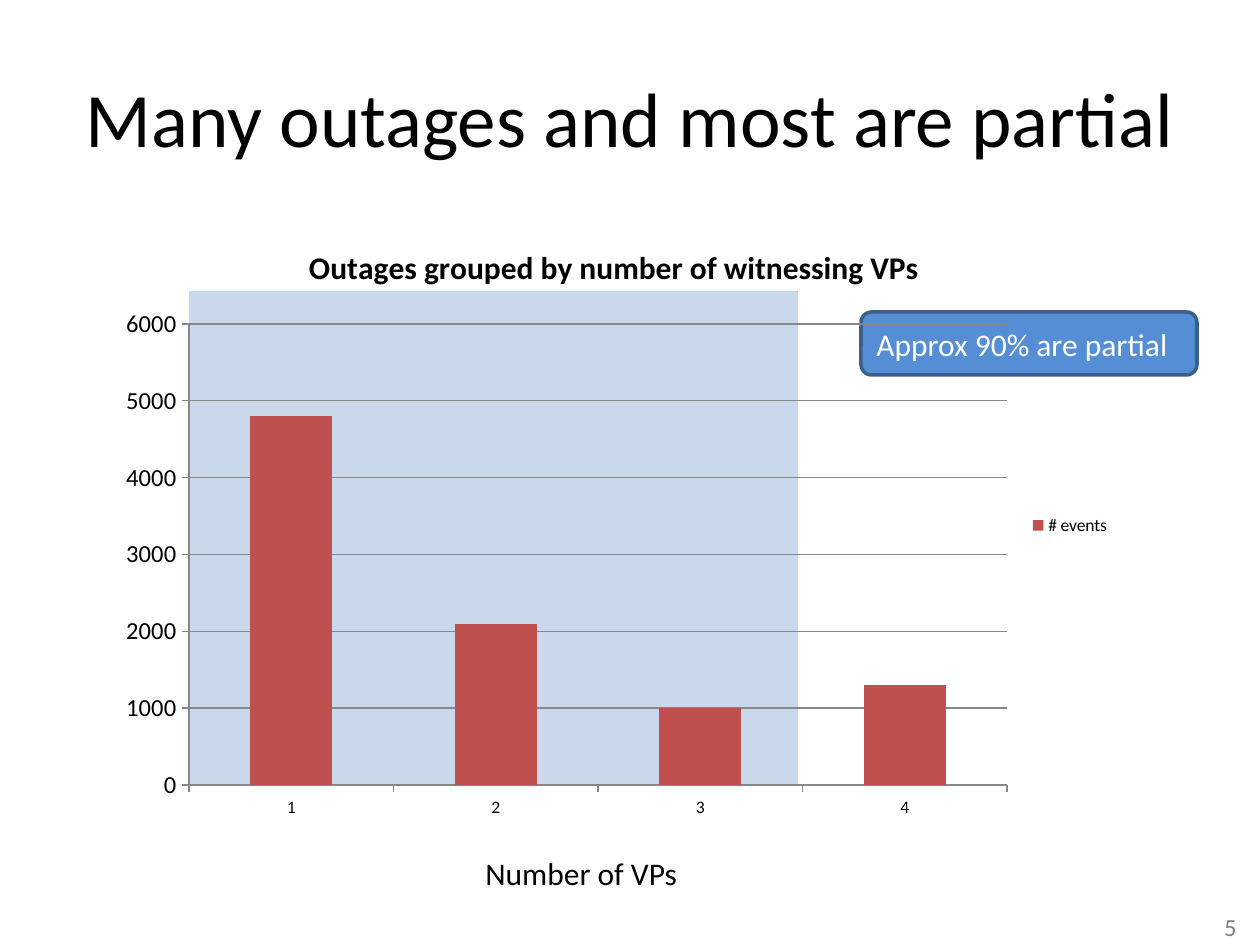
import lxml.etree
import pptx
import pptx.chart.data
import pptx.dml.color
import pptx.enum.chart
import pptx.enum.shapes
import pptx.enum.text
import pptx.oxml
import pptx.oxml.ns
import pptx.util

SCALE = 914400 / 126
FONT = "Calibri"
COLORS = {
    "text": "000000",
    "muted": "808080",
    "white": "FFFFFF",
    "band": "4F81BD",
    "callout": "558ED5",
    "callout_line": "3A5F8C",
    "bar": "C0504D",
    "axis": "878787",
}
ALIGN = pptx.enum.text.PP_ALIGN
ANCHOR = pptx.enum.text.MSO_ANCHOR
SHAPE = pptx.enum.shapes.MSO_SHAPE
CHART = pptx.enum.chart


def px(*lengths):
    """Turn pixel lengths into a list of EMU lengths."""
    return [pptx.util.Emu(round(length * SCALE)) for length in lengths]


def color(name):
    """Return the named colour."""
    return pptx.dml.color.RGBColor.from_string(COLORS[name])


def style_font(font, size, name="text", bold=False):
    """Set typeface, size, colour and weight of a font."""
    font.name = FONT
    font.size = pptx.util.Pt(size)
    font.bold = bold
    font.color.rgb = color(name)


def write_text(frame, text, size=18, name="text", bold=False,
               align=ALIGN.LEFT, anchor=ANCHOR.TOP, wrap=True):
    """Write one formatted paragraph into a text frame."""
    frame.word_wrap = wrap
    frame.vertical_anchor = anchor
    paragraph = frame.paragraphs[0]
    paragraph.alignment = align
    run = paragraph.add_run()
    run.text = text
    style_font(run.font, size, name, bold)


def add_title(slide, text, box):
    """Place and fill the title placeholder."""
    title = slide.shapes.title
    title.left, title.top, title.width, title.height = px(*box)
    write_text(title.text_frame, text, size=44, align=ALIGN.CENTER,
               anchor=ANCHOR.MIDDLE)


def add_label(slide, text, box, **text_format):
    """Add a text box."""
    label = slide.shapes.add_textbox(*px(*box))
    write_text(label.text_frame, text, **text_format)


def add_box(slide, kind, box, fill, line=None, opacity=None):
    """Add a filled preset shape, optionally outlined or translucent."""
    shape = slide.shapes.add_shape(kind, *px(*box))
    shape.shadow.inherit = False
    shape.fill.solid()
    shape.fill.fore_color.rgb = color(fill)
    if line:
        shape.line.color.rgb = color(line)
        shape.line.width = pptx.util.Pt(2)
    else:
        shape.line.fill.background()
    if opacity:
        tone = shape._element.spPr.find(".//" + pptx.oxml.ns.qn("a:srgbClr"))
        alpha = lxml.etree.SubElement(tone, pptx.oxml.ns.qn("a:alpha"))
        alpha.set("val", str(opacity * 1000))
    return shape


def set_plot_layout(chart, chart_box, plot_box):
    """Fix the inner plot area, given in slide pixels."""
    chart_left, chart_top, chart_width, chart_height = chart_box
    left, top, width, height = plot_box
    plot_area = chart._chartSpace.chart.plotArea
    for layout in plot_area.findall(pptx.oxml.ns.qn("c:layout")):
        plot_area.remove(layout)
    entries = [("layoutTarget", "inner"), ("xMode", "edge"), ("yMode", "edge"),
               ("x", (left - chart_left) / chart_width),
               ("y", (top - chart_top) / chart_height),
               ("w", width / chart_width), ("h", height / chart_height)]
    body = "".join(f'<c:{tag} val="{value}"/>' for tag, value in entries)
    plot_area.insert(0, pptx.oxml.parse_xml(
        f'<c:layout {pptx.oxml.ns.nsdecls("c")}>'
        f"<c:manualLayout>{body}</c:manualLayout></c:layout>"))


def style_axis(axis, size):
    """Format the labels, ticks and line of an axis."""
    style_font(axis.tick_labels.font, size)
    axis.major_tick_mark = CHART.XL_TICK_MARK.OUTSIDE
    axis.minor_tick_mark = CHART.XL_TICK_MARK.NONE
    axis.format.line.color.rgb = color("axis")
    axis.format.line.width = pptx.util.Pt(0.75)


def add_outage_chart(slide, box, plot_box):
    """Add the column chart of outages per number of witnessing VPs."""
    data = pptx.chart.data.CategoryChartData()
    data.categories = ["1", "2", "3", "4"]
    data.add_series("# events", [4800, 2100, 1000, 1300])
    chart = slide.shapes.add_chart(
        CHART.XL_CHART_TYPE.COLUMN_CLUSTERED, *px(*box), data).chart
    style_font(chart.font, 10)
    chart.has_title = True
    write_text(chart.chart_title.text_frame,
               "Outages grouped by number of witnessing VPs",
               bold=True, align=ALIGN.CENTER)
    chart.chart_title.include_in_layout = False
    chart.has_legend = True
    chart.legend.position = CHART.XL_LEGEND_POSITION.RIGHT
    chart.legend.include_in_layout = False
    style_font(chart.legend.font, 10)

    plot = chart.plots[0]
    plot.gap_width = 150
    plot.vary_by_categories = False
    bars = plot.series[0].format.fill
    bars.solid()
    bars.fore_color.rgb = color("bar")

    style_axis(chart.category_axis, 10)
    values = chart.value_axis
    style_axis(values, 14)
    values.minimum_scale, values.maximum_scale = 0, 6000
    values.major_unit = 1000
    values.has_major_gridlines = True
    gridline = values.major_gridlines.format.line
    gridline.color.rgb = color("axis")
    gridline.width = pptx.util.Pt(0.75)
    set_plot_layout(chart, box, plot_box)


def main():
    """Build and save the slide."""
    presentation = pptx.Presentation()
    presentation.slide_width, presentation.slide_height = px(1260, 945)
    slide = presentation.slides.add_slide(presentation.slide_layouts[5])
    add_title(slide, "Many outages and most are partial", (63, 38, 1134, 157))
    add_label(slide, "5", (955, 902, 294, 50), size=14, name="muted",
              align=ALIGN.RIGHT, anchor=ANCHOR.MIDDLE)
    add_box(slide, SHAPE.RECTANGLE, (189, 291, 609, 494), "band", opacity=30)
    add_label(slide, "Number of VPs", (473, 848, 219, 50), wrap=False)
    callout = add_box(slide, SHAPE.ROUNDED_RECTANGLE, (861, 312, 336, 63),
                      "callout", line="callout_line")
    write_text(callout.text_frame, "Approx 90% are partial", name="white",
               anchor=ANCHOR.MIDDLE)
    add_outage_chart(slide, (105, 221, 1018, 609), (189, 324, 818, 461))
    presentation.save("out.pptx")


if __name__ == "__main__":
    main()
